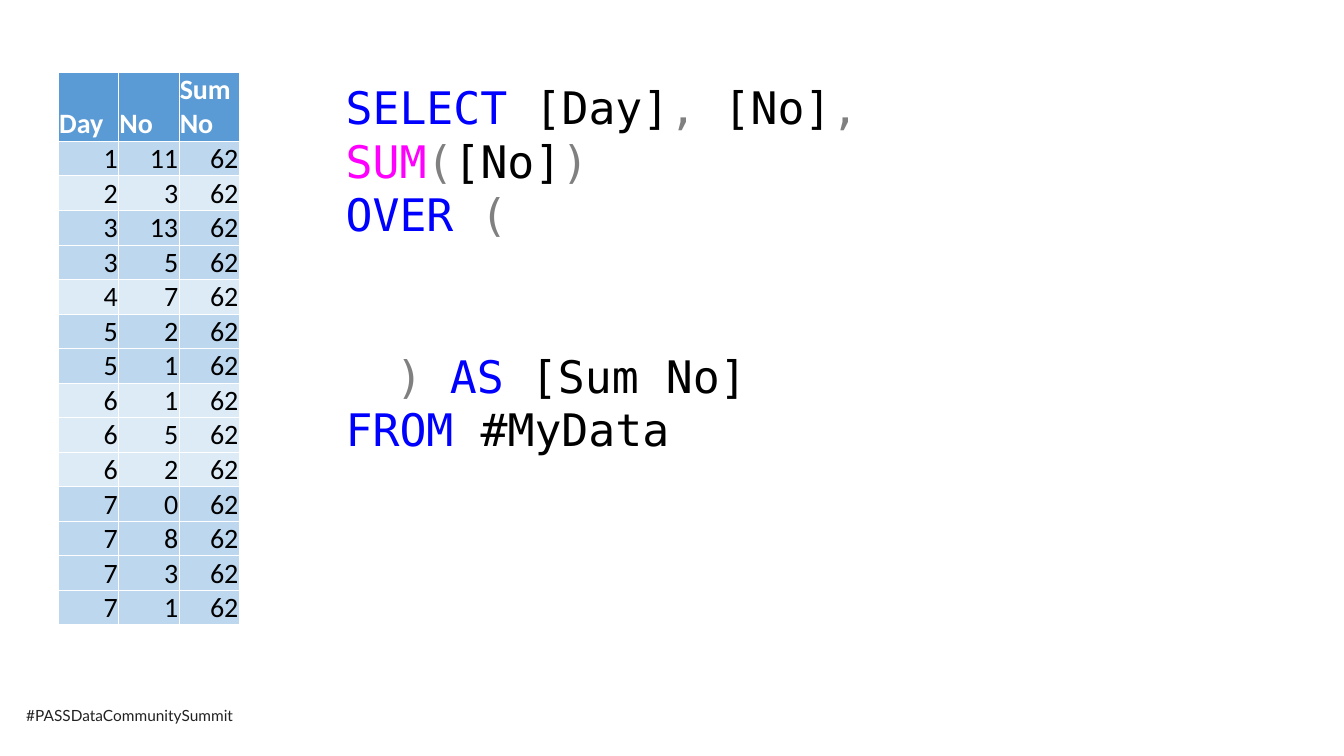
from dataclasses import dataclass
from lxml.etree import SubElement as Sub
from pptx import Presentation
from pptx.dml.color import RGBColor as Rgb
from pptx.enum.text import MSO_ANCHOR as Anchor, MSO_AUTO_SIZE as Fit, PP_ALIGN as Align
from pptx.oxml.ns import qn
from pptx.util import Cm, Pt


@dataclass(frozen=True)
class Theme:
    white: str = "FFFFFF"
    black: str = "000000"
    dark: str = "222222"
    head: str = "5B9BD5"
    odd: str = "BDD7EE"
    even: str = "DDEBF7"
    key: str = "0000FF"
    func: str = "FF00FF"
    mark: str = "808080"
    cell: Pt = Pt(20)
    code: Pt = Pt(32)
    foot: Pt = Pt(11)
    line: Pt = Pt(38.4)


look = Theme()


def style(font, color, **form):
    for name, value in form.items():
        setattr(font, name, value)
    font.color.rgb = Rgb.from_string(color)


def add_box(left, top, width, height, wrap):
    frame = slide.shapes.add_textbox(Cm(left), Cm(top), Cm(width), Cm(height)).text_frame
    frame.word_wrap = wrap
    frame.auto_size = Fit.SHAPE_TO_FIT_TEXT
    return frame


deck = Presentation()
deck.slide_width, deck.slide_height = Cm(33.87), Cm(19.05)
slide = deck.slides.add_slide(deck.slide_layouts[6])

foot = add_box(0.41, 17.68, 5.94, 0.74, False).paragraphs[0]
run = foot.add_run()
run.text = "#PASSDataCommunitySummit"
style(run.font, look.dark, name="Lato", size=look.foot)

data = [(1, 11), (2, 3), (3, 13), (3, 5), (4, 7), (5, 2), (5, 1),
        (6, 1), (6, 5), (6, 2), (7, 0), (7, 8), (7, 3), (7, 1)]
total = sum(no for day, no in data)
rows = [("Day", "No", "Sum\vNo")] + [(day, no, total) for day, no in data]
wide, tall = Cm(1.52), Cm(0.87)
table = slide.shapes.add_table(
    len(rows), 3, Cm(1.47), Cm(1.82), wide * 3, tall * (len(rows) + 1)).table
table.horz_banding = False
for col in table.columns:
    col.width = wide
cell_form = dict(vertical_anchor=Anchor.BOTTOM, margin_left=Cm(0.02),
                 margin_right=Cm(0.02), margin_top=Cm(0.02), margin_bottom=0)

for r, row in enumerate(rows):
    top = r == 0
    table.rows[r].height = tall * 2 if top else tall
    fill = look.head if top else look.odd if row[0] % 2 else look.even
    for c, value in enumerate(row):
        cell = table.cell(r, c)
        for name, item in cell_form.items():
            setattr(cell, name, item)
        cell.text = str(value)
        para = cell.text_frame.paragraphs[0]
        para.alignment = Align.LEFT if top else Align.RIGHT
        for run in para.runs:
            style(run.font, look.white if top else look.black,
                  name="Calibri", size=look.cell, bold=top)
        props = cell._tc.get_or_add_tcPr()
        for side in ("lnL", "lnR", "lnT", "lnB"):
            edge = Sub(props, qn(f"a:{side}"), w=str(Pt(0.5)))
            Sub(Sub(edge, qn("a:solidFill")), qn("a:srgbClr"), val=look.white)
        cell.fill.solid()
        cell.fill.fore_color.rgb = Rgb.from_string(fill)

query = [
    [("SELECT", look.key), (" [Day]", look.black), (",", look.mark),
     (" [No]", look.black), (",", look.mark)],
    [("SUM", look.func), ("(", look.mark), ("[No]", look.black), (")", look.mark)],
    [("OVER ", look.key), ("(", look.mark)],
    [("\t) ", look.mark), ("AS", look.key), (" [Sum No]", look.black)],
    [("FROM", look.key), (" #MyData", look.black)],
]
code = add_box(8.46, 1.88, 16.94, 9.83, True)
for n, parts in enumerate(query):
    para = code.add_paragraph() if n else code.paragraphs[0]
    para.line_spacing = look.line
    if n == 3:
        para.space_before = look.line * 2
    for text, color in parts:
        run = para.add_run()
        run.text = text
        style(run.font, color, name="DejaVu Sans Mono", size=look.code)

deck.save("out.pptx")
